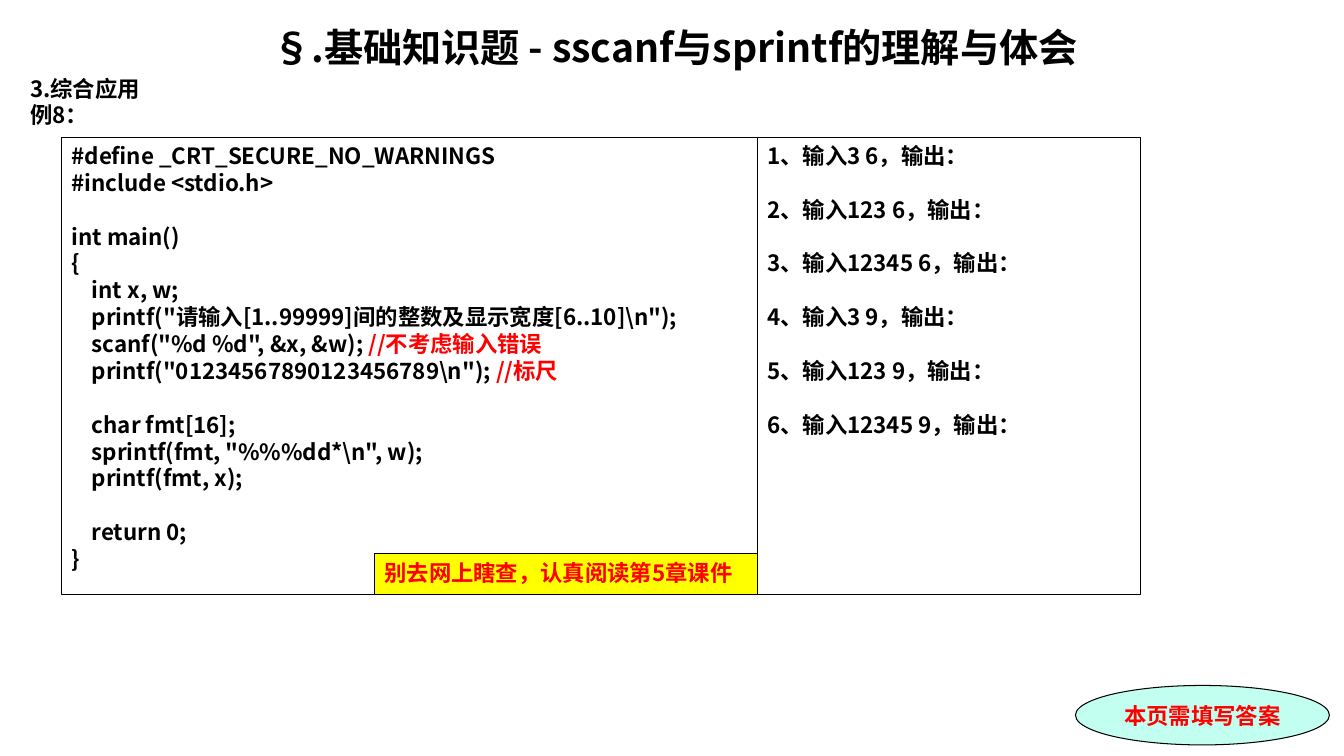
from pptx import Presentation, util as u
from pptx.dml.color import RGBColor
from pptx.enum import shapes, text
from pptx.oxml.ns import qn

BLACK = RGBColor(0x00, 0x00, 0x00)
RED = RGBColor(0xFF, 0x00, 0x00)
YELLOW = RGBColor(0xFF, 0xFF, 0x00)
MINT = RGBColor(0xC2, 0xFF, 0xF0)
SANS, SERIF = "Noto Sans CJK SC", "Times New Roman"
BODY, TITLE = 16, 28
LEADING = 1.2
ROW = BODY * LEADING
LEFT, CENTER = text.PP_ALIGN.LEFT, text.PP_ALIGN.CENTER

CODE = r'''#define _CRT_SECURE_NO_WARNINGS
#include <stdio.h>

int main()
{
    int x, w;
    printf("请输入[1..99999]间的整数及显示宽度[6..10]\n");
    scanf("%d %d", &x, &w); //不考虑输入错误
    printf("01234567890123456789\n"); //标尺

    char fmt[16];
    sprintf(fmt, "%%%dd*\n", w);
    printf(fmt, x);

    return 0;
}'''
INPUTS = ["3 6", "123 6", "12345 6", "3 9", "123 9", "12345 9"]


def add_run(paragraph, words, color=BLACK, size=BODY, face=SANS):
    run = paragraph.add_run()
    run.text = words
    font = run.font
    font.size, font.bold, font.name = u.Pt(size), True, face
    font.color.rgb = color
    east_asian = run._r.get_or_add_rPr().makeelement(qn("a:ea"), {"typeface": SANS})
    run._r.rPr.find(qn("a:latin")).addnext(east_asian)


def set_paragraph(paragraph, align=LEFT, size=BODY, before=0):
    paragraph.alignment = align
    paragraph.line_spacing = u.Pt(round(size * LEADING, 2))
    paragraph.space_before = u.Pt(before)


def set_frame(frame, anchor=text.MSO_ANCHOR.TOP):
    frame.word_wrap = True
    frame.auto_size = text.MSO_AUTO_SIZE.NONE
    frame.vertical_anchor = anchor
    frame.margin_left = frame.margin_right = u.Pt(7.2)
    frame.margin_top = frame.margin_bottom = u.Pt(3.6)


def add_panel(slide, box, fill=None, kind=shapes.MSO_SHAPE.RECTANGLE,
              anchor=text.MSO_ANCHOR.TOP):
    """Add an outlined shape and return its empty text frame."""
    panel = slide.shapes.add_shape(kind, *map(u.Pt, box))
    panel.shadow.inherit = False
    if fill is None:
        panel.fill.background()
    else:
        panel.fill.solid()
        panel.fill.fore_color.rgb = fill
    panel.line.color.rgb = BLACK
    panel.line.width = u.Pt(0.75)
    set_frame(panel.text_frame, anchor)
    return panel.text_frame


def add_heading(slide, box):
    left, top, width, height = box
    title = slide.shapes.title
    title.left, title.top, title.width, title.height = map(u.Pt, (left, top, width, 40))
    set_frame(title.text_frame)
    headline = title.text_frame.paragraphs[0]
    set_paragraph(headline, CENTER, TITLE)
    add_run(headline, "§.基础知识题 - sscanf与sprintf的理解与体会", size=TITLE)

    section_top = top + TITLE * LEADING + 0.2 * BODY
    section = slide.shapes.add_textbox(
        *map(u.Pt, (left, section_top, width, top + height - section_top)))
    set_frame(section.text_frame)
    example = section.text_frame.paragraphs[0]
    set_paragraph(example)
    add_run(example, "3.综合应用")
    example.add_line_break()
    add_run(example, "例8：")


def add_code(slide, box):
    """Show the program with red comments; blank lines become space before."""
    frame = add_panel(slide, box)
    for number, block in enumerate(CODE.split("\n\n")):
        for row, line in enumerate(block.split("\n")):
            first = number == row == 0
            paragraph = frame.paragraphs[0] if first else frame.add_paragraph()
            set_paragraph(paragraph, before=ROW if number and row == 0 else 0)
            statement, slashes, comment = line.partition("//")
            add_run(paragraph, statement)
            if slashes:
                add_run(paragraph, slashes + comment, RED)


def add_questions(slide, box):
    frame = add_panel(slide, box)
    for number, values in enumerate(INPUTS, 1):
        question = frame.paragraphs[0] if number == 1 else frame.add_paragraph()
        set_paragraph(question, before=ROW if number > 1 else 0)
        add_run(question, f"{number}、输入{values}，输出：")


def add_reminder(slide, box):
    reminder = add_panel(slide, box, YELLOW).paragraphs[0]
    set_paragraph(reminder)
    add_run(reminder, "别去网上瞎查，认真阅读第5章课件", RED)


def add_answer_badge(slide, box):
    badge = add_panel(slide, box, MINT, shapes.MSO_SHAPE.OVAL,
                      text.MSO_ANCHOR.MIDDLE).paragraphs[0]
    set_paragraph(badge, CENTER)
    add_run(badge, "本页需填写答案", RED, face=SERIF)


def main():
    deck = Presentation()
    deck.slide_width, deck.slide_height = u.Pt(960), u.Pt(540)
    slide = deck.slides.add_slide(deck.slide_layouts[5])

    left, top, code_width, side_width, height = 44, 98, 497, 273.5, 327
    divider, reminder_height = left + code_width, 29.5
    add_heading(slide, (14.4, 13, 935.3, 84))
    add_answer_badge(slide, (768.2, 489.6, 181.4, 42.5))
    add_code(slide, (left, top, code_width, height))
    add_questions(slide, (divider, top, side_width, height))
    add_reminder(slide, (divider - side_width, top + height - reminder_height,
                         side_width, reminder_height))
    deck.save("out.pptx")


if __name__ == "__main__":
    main()
